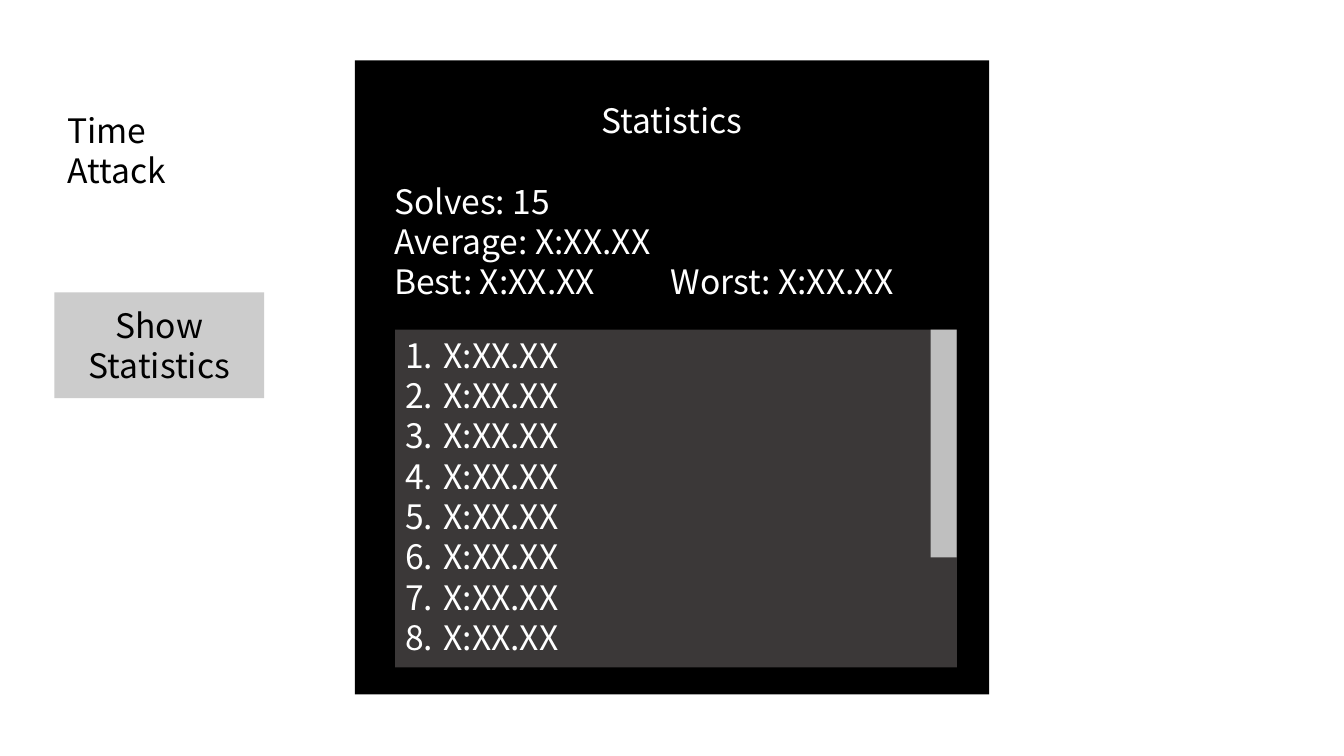
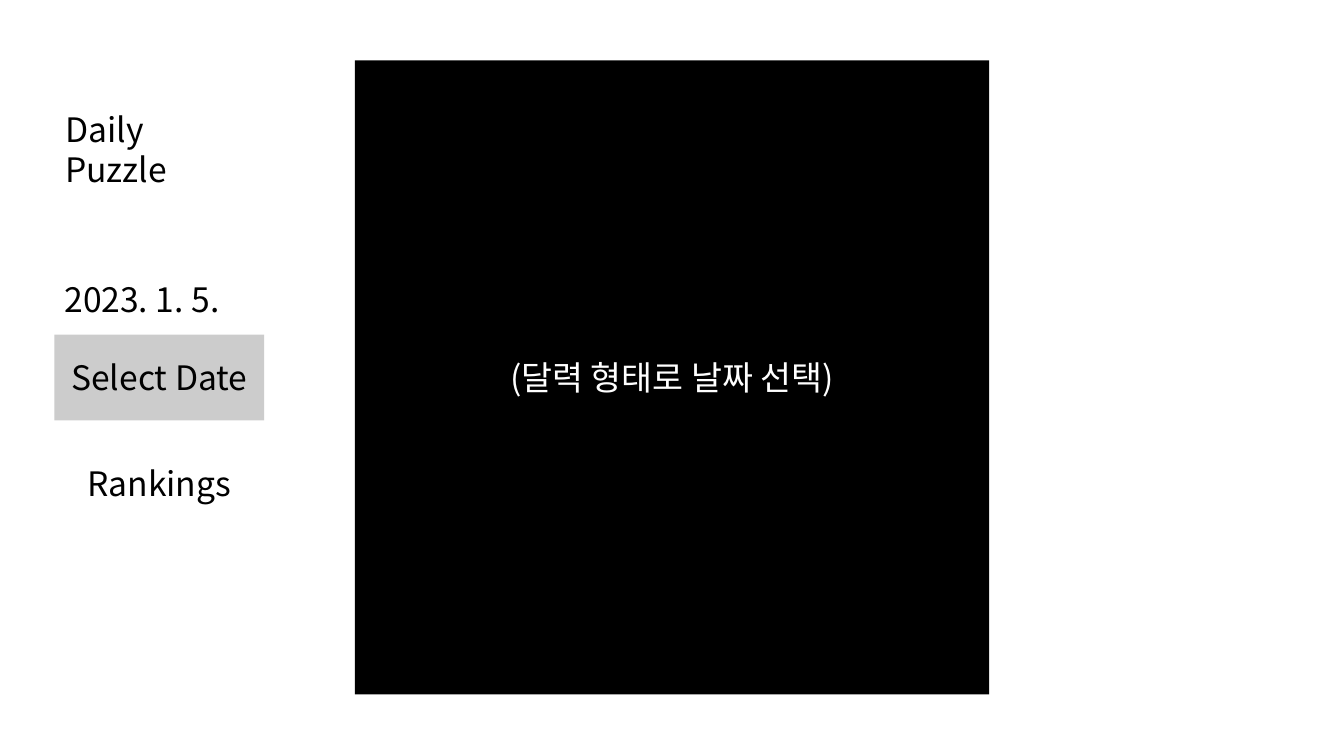
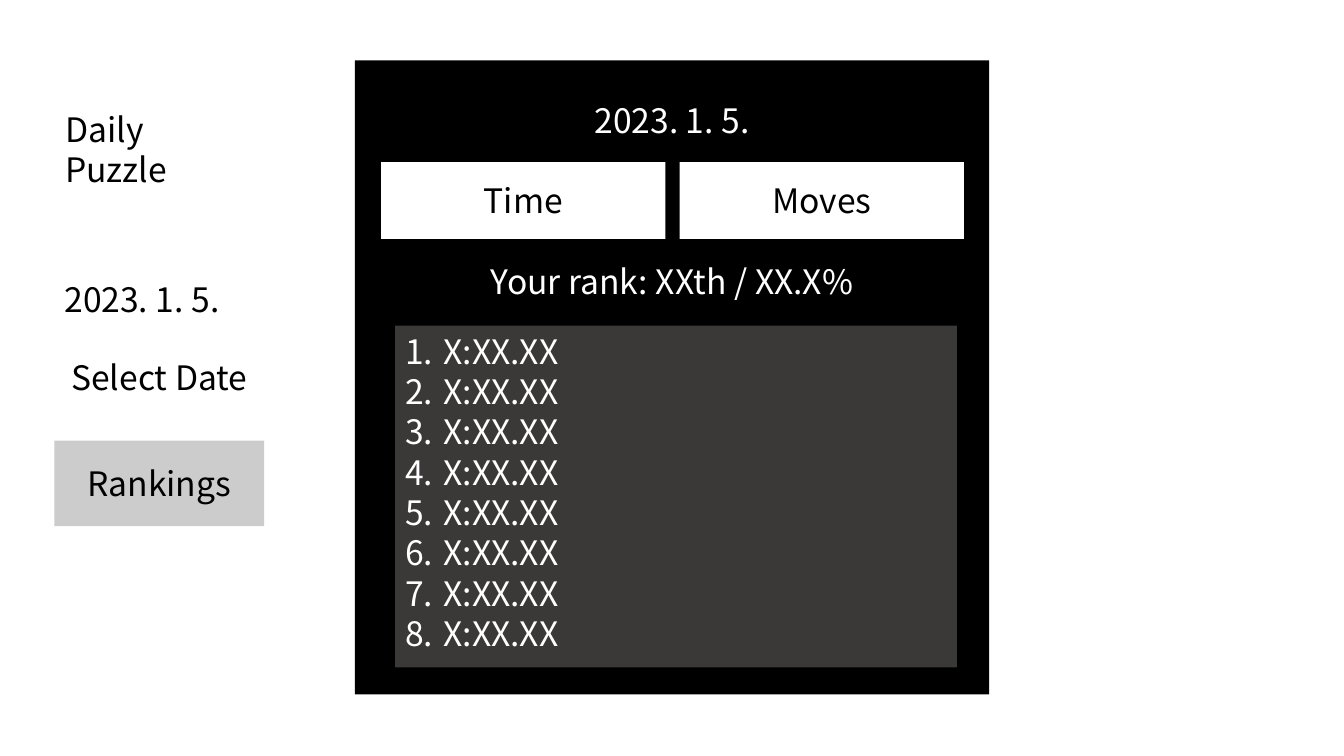
from pptx import Presentation
from pptx.dml.color import RGBColor
from pptx.enum.shapes import MSO_SHAPE
from pptx.enum.text import MSO_ANCHOR, PP_ALIGN
from pptx.oxml.ns import qn
from pptx.util import Inches, Pt
from lxml.etree import Element, SubElement

COLORS = {
    "white": "FFFFFF",
    "black": "000000",
    "selected": "CCCCCC",
    "list": "3B3838",
    "scrollbar": "BFBFBF",
}
FONT = "Noto Sans CJK KR"
SIZE = 24
LINE = 28.8
DATE = "2023. 1. 5."
TIMES = ["X:XX.XX"] * 8


class Screen:
    def __init__(self):
        self.deck = Presentation()
        self.deck.slide_width = Inches(13.33)
        self.deck.slide_height = Inches(7.5)
        self.slide = None

    def start(self):
        self.slide = self.deck.slides.add_slide(self.deck.slide_layouts[6])

    def style(self, paragraph, color, align):
        paragraph.alignment = align
        paragraph.line_spacing = Pt(LINE)
        font = paragraph.font
        font.size = Pt(SIZE)
        font.name = FONT
        font.color.rgb = RGBColor.from_string(COLORS[color])
        defaults = paragraph._p.pPr.find(qn("a:defRPr"))
        SubElement(defaults, qn("a:ea"), typeface=FONT)

    def fill_text(self, frame, lines, color, align):
        frame.word_wrap = True
        for index, line in enumerate(lines):
            paragraph = frame.paragraphs[0] if index == 0 else frame.add_paragraph()
            paragraph.text = line
            self.style(paragraph, color, align)
        return frame.paragraphs

    def label(self, text, left, top, width):
        box = self.slide.shapes.add_textbox(
            Inches(left), Inches(top), Inches(width), Inches(0.5))
        self.fill_text(box.text_frame, [text], "black", PP_ALIGN.LEFT)

    def block(self, left, top, width, height, fill):
        shape = self.slide.shapes.add_shape(
            MSO_SHAPE.RECTANGLE, Inches(left), Inches(top), Inches(width), Inches(height))
        shape.shadow.inherit = False
        shape.fill.solid()
        shape.fill.fore_color.rgb = RGBColor.from_string(COLORS[fill])
        shape.line.fill.background()
        return shape

    def button(self, text, left, top, width, height, fill):
        frame = self.block(left, top, width, height, fill).text_frame
        frame.vertical_anchor = MSO_ANCHOR.MIDDLE
        self.fill_text(frame, [text], "black", PP_ALIGN.CENTER)

    def panel(self, lines, anchor=MSO_ANCHOR.TOP):
        frame = self.block(3.52, 0.6, 6.29, 6.29, "black").text_frame
        frame.vertical_anchor = anchor
        frame.margin_left = frame.margin_right = Inches(0.39)
        frame.margin_top = frame.margin_bottom = Inches(0.39)
        return self.fill_text(frame, lines, "white", PP_ALIGN.CENTER)

    def tab_stop(self, paragraph, position):
        stops = Element(qn("a:tabLst"))
        SubElement(stops, qn("a:tab"), pos=str(Inches(position)), algn="l")
        paragraph._p.pPr.find(qn("a:defRPr")).addprevious(stops)

    def numbered_list(self, items, top, height):
        frame = self.block(3.92, top, 5.57, height, "list").text_frame
        frame.vertical_anchor = MSO_ANCHOR.TOP
        for paragraph in self.fill_text(frame, items, "white", PP_ALIGN.LEFT):
            properties = paragraph._p.pPr
            properties.set("marL", str(Inches(0.38)))
            properties.set("indent", str(Inches(-0.38)))
            number = Element(qn("a:buAutoNum"), type="arabicPeriod")
            properties.find(qn("a:defRPr")).addprevious(number)

    def daily_menu(self, selected):
        self.label("Daily\vPuzzle", 0.55, 1.03, 2.03)
        for index, text in enumerate(["Select Date", "Rankings"]):
            fill = "selected" if text == selected else "white"
            self.button(text, 0.54, 3.32 + index * 1.05, 2.08, 0.85, fill)
        self.label(DATE, 0.54, 2.72, 1.78)


screen = Screen()

screen.start()
screen.label("Time\vAttack", 0.57, 1.04, 2.01)
screen.button("Show Statistics", 0.54, 2.9, 2.08, 1.05, "selected")
heading, *summary = screen.panel([
    "Statistics", "Solves: 15", "Average: X:XX.XX", "Best: X:XX.XX\tWorst: X:XX.XX"])
heading.space_after = Pt(LINE)
for result in summary:
    result.alignment = PP_ALIGN.LEFT
screen.tab_stop(summary[-1], 2.74)
screen.numbered_list(TIMES, 3.27, 3.35)
screen.block(9.23, 3.27, 0.26, 2.26, "scrollbar")

screen.start()
screen.panel(["(달력 형태로 날짜 선택)"], MSO_ANCHOR.MIDDLE)
screen.daily_menu("Select Date")

screen.start()
ranking_date, own_rank = screen.panel([DATE, "Your rank: XXth / XX.X%"])
own_rank.space_before = Pt(3 * LINE)
screen.daily_menu("Rankings")
for column, criterion in enumerate(["Time", "Moves"]):
    screen.button(criterion, 3.78 + column * 2.96, 1.61, 2.82, 0.76, "white")
screen.numbered_list(TIMES, 3.23, 3.39)

screen.deck.save("out.pptx")
